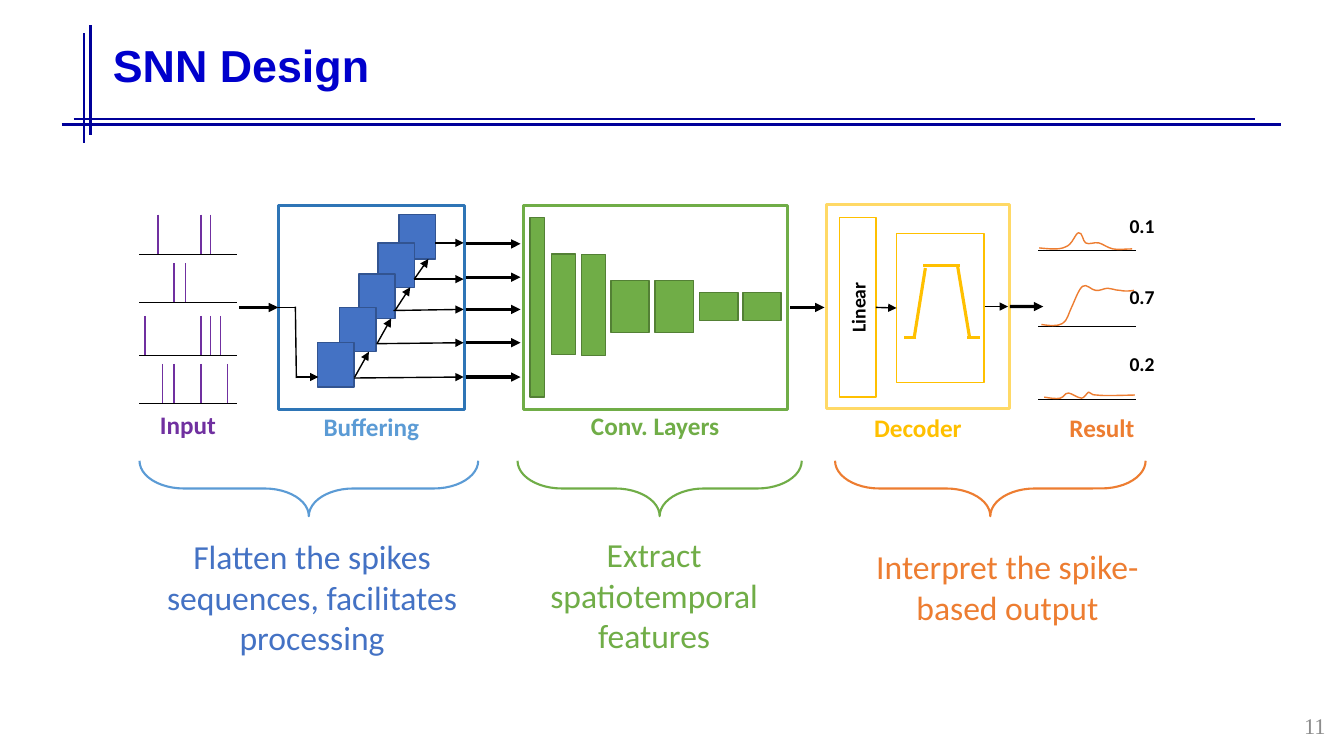
from dataclasses import dataclass
from typing import Optional

from lxml import etree
from pptx import Presentation
from pptx.dml.color import RGBColor
from pptx.enum.shapes import MSO_CONNECTOR, MSO_SHAPE
from pptx.enum.text import MSO_ANCHOR, PP_ALIGN
from pptx.oxml.ns import qn
from pptx.util import Pt

STRAIGHT = MSO_CONNECTOR.STRAIGHT
RECTANGLE, BRACE = MSO_SHAPE.RECTANGLE, MSO_SHAPE.LEFT_BRACE
LEFT, CENTER, RIGHT = PP_ALIGN.LEFT, PP_ALIGN.CENTER, PP_ALIGN.RIGHT
TOP, MIDDLE = MSO_ANCHOR.TOP, MSO_ANCHOR.MIDDLE
LEFT_SIDE, RIGHT_SIDE = 1, 3

BLACK, WHITE = RGBColor(0, 0, 0), RGBColor(255, 255, 255)
NAVY, TITLE_BLUE = RGBColor(0, 0, 0x99), RGBColor(0, 0, 0xCC)
BLUE, BLUE_EDGE = RGBColor(0x44, 0x72, 0xC4), RGBColor(0x32, 0x54, 0x91)
FRAME_BLUE, SKY = RGBColor(0x2E, 0x75, 0xB6), RGBColor(0x5B, 0x9B, 0xD5)
GREEN, GREEN_EDGE = RGBColor(0x70, 0xAD, 0x47), RGBColor(0x53, 0x80, 0x35)
GOLD, PALE_GOLD = RGBColor(0xFF, 0xC0, 0), RGBColor(0xFF, 0xD9, 0x66)
ORANGE, PURPLE = RGBColor(0xED, 0x7D, 0x31), RGBColor(0x70, 0x30, 0xA0)
GRAY = RGBColor(0x8C, 0x8C, 0x8C)


@dataclass
class Label:
    text: str
    left: float
    top: float
    width: float
    height: float
    size: float
    color: RGBColor
    bold: bool = False
    align: PP_ALIGN = CENTER
    anchor: MSO_ANCHOR = TOP
    font: str = "Calibri"


@dataclass
class Result:
    value: str
    value_top: float
    baseline: float
    curve: list  # start point, then three Bézier points per segment


@dataclass
class Stage:
    caption: Label
    brace_left: float
    brace_width: float
    color: RGBColor


deck = Presentation()
deck.slide_width, deck.slide_height = Pt(960), Pt(540)
page = deck.slides.add_slide(deck.slide_layouts[5])
shapes = page.shapes


def draw_line(x1: float, y1: float, x2: float, y2: float, color: RGBColor = BLACK,
              width: float = 1, arrow: bool = False):
    line = shapes.add_connector(STRAIGHT, Pt(x1), Pt(y1), Pt(x2), Pt(y2))
    line.line.color.rgb = color
    line.line.width = Pt(width)
    if arrow:
        etree.SubElement(line.line._get_or_add_ln(), qn("a:tailEnd"), type="triangle")
    etree.SubElement(line._element.spPr, qn("a:effectLst"))
    return line


def draw_box(left: float, top: float, width: float, height: float, edge: RGBColor,
             edge_width: float = 1, fill: Optional[RGBColor] = None, kind: MSO_SHAPE = RECTANGLE):
    box = shapes.add_shape(kind, Pt(left), Pt(top), Pt(width), Pt(height))
    box.shadow.inherit = False
    box.line.color.rgb = edge
    box.line.width = Pt(edge_width)
    if fill is None:
        box.fill.background()
    else:
        box.fill.solid()
        box.fill.fore_color.rgb = fill
    return box


def write(box, label: Label) -> None:
    frame = box.text_frame
    frame.text = label.text
    frame.word_wrap = True
    frame.vertical_anchor = label.anchor
    para = frame.paragraphs[0]
    para.alignment = label.align
    font = para.runs[0].font
    font.name, font.size, font.bold = label.font, Pt(label.size), label.bold
    font.color.rgb = label.color


def draw_label(label: Label) -> None:
    write(shapes.add_textbox(Pt(label.left), Pt(label.top), Pt(label.width), Pt(label.height)), label)


def draw_curve(points: list, color: RGBColor) -> None:
    places = [(Pt(x), Pt(y)) for x, y in points]
    builder = shapes.build_freeform(*places[0])
    builder.add_line_segments(places[3::3], close=False)
    curve = builder.convert_to_shape()
    # Turn each straight segment into a Bézier by adding its two control points
    for index, segment in enumerate(list(curve._element.iter(qn("a:lnTo")))):
        segment.tag = qn("a:cubicBezTo")
        for order, (x, y) in enumerate(places[3 * index + 1:3 * index + 3]):
            control = etree.Element(qn("a:pt"), x=str(x - curve.left), y=str(y - curve.top))
            segment.insert(order, control)
    curve.shadow.inherit = False
    curve.fill.background()
    curve.line.color.rgb = color
    curve.line.width = Pt(1)


# Title and crossed rules
for rule in ((52.6, 85, 896.4, 85), (44, 88.9, 915, 88.9),
             (60.1, 23.8, 60.1, 102.2), (64.8, 18, 64.8, 96.5)):
    draw_line(*rule, NAVY, 1.75)
title = shapes.title
title.left, title.top, title.width, title.height = Pt(73.4), Pt(3.6), Pt(805), Pt(90)
write(title, Label("SNN Design", 73.4, 3.6, 805, 90, 32, TITLE_BLUE, True, LEFT, MIDDLE, "Arial"))
title.text_frame.paragraphs[0].line_spacing = 0.9

# Input spike trains
SPIKE_HEIGHT = 28
for baseline, spikes in ((181.4, (113, 143.7, 150.5)), (216, (124.4, 132.4)),
                         (253.6, (103.5, 143.7, 150.5, 157.7)),
                         (288, (116, 124.4, 143.7, 162.5))):
    for x in spikes:
        draw_line(x, baseline - SPIKE_HEIGHT, x, baseline, PURPLE)
    draw_line(99.4, baseline, 169.2, baseline, width=0.5)

# Buffering
for left, top in ((285, 153.4), (270, 173.5), (256.3, 195.8), (242.6, 219.6), (226.8, 244.8)):
    draw_box(left, top, 26, 31.7, BLUE_EDGE, fill=BLUE)
buffering = draw_box(198.7, 146.9, 133.2, 145.4, FRAME_BLUE, 2.25)
draw_line(170.6, 219.6, 198.7, 219.6, width=2.25, arrow=True).end_connect(buffering, LEFT_SIDE)
draw_line(198.7, 219.6, 211.7, 219.6).begin_connect(buffering, LEFT_SIDE)
draw_line(211, 219, 211.7, 270)
draw_line(211.7, 269.3, 227.5, 269.3, arrow=True)
for carry in ((253.4, 269.3, 263.5, 251.3), (269.3, 245.5, 279.4, 227.5),
              (282.2, 221.8, 293, 205.2), (295.9, 199.4, 306, 185)):
    draw_line(*carry, arrow=True)
for x, y, thin_end, bus in ((311, 173.5, 173.5, 174.2), (295.9, 199.4, 199.4, 198),
                            (281, 221.8, 221, 221), (269, 245.5, 244.8, 244.8),
                            (253, 270, 269.3, 269.3)):
    draw_line(x, y, 331.2, thin_end, arrow=True)
    draw_line(332.6, bus, 371.8, bus, width=2.25, arrow=True)

# Convolution layers
draw_box(373.7, 146.9, 188.6, 145.4, GREEN, 2.25)
for left, top, width, height in ((378.7, 155.5, 10.1, 128.2), (393.8, 181.4, 17.3, 72),
                                 (415.4, 182, 17.3, 72), (436.3, 200.2, 27.4, 37.4),
                                 (468, 200.2, 27.4, 37.4), (499.7, 208.8, 27.4, 20.2),
                                 (530.6, 208.8, 27.4, 20.2)):
    draw_box(left, top, width, height, GREEN_EDGE, fill=GREEN)

# Decoder
decoder = draw_box(590.4, 146.2, 131, 145.4, PALE_GOLD, 2.25)
linear = draw_box(599.8, 155.5, 25.9, 128.2, GOLD, fill=WHITE)
write(linear, Label("Linear", 599.8, 155.5, 25.9, 128.2, 14, BLACK, True, CENTER, MIDDLE))
linear.text_frame._txBody.bodyPr.set("vert", "vert270")
activation = draw_box(640.4, 166.7, 62.6, 106.6, GOLD)
for stroke in ((659.5, 189.4, 685.4, 189.4), (653, 241.2, 661, 191.5), (692.6, 241.2, 684, 190),
               (654.5, 241.2, 645.8, 241.2), (699.8, 241.2, 690.5, 241.2)):
    draw_line(*stroke, GOLD, 2.25)
draw_line(564.5, 219.6, 589, 219.6, width=2.25, arrow=True)
draw_line(721.4, 219, 745.2, 219, width=2.25, arrow=True).begin_connect(decoder, RIGHT_SIDE)
inner = draw_line(625.7, 219.6, 640.4, 219.6, arrow=True)
inner.begin_connect(linear, RIGHT_SIDE)
inner.end_connect(activation, LEFT_SIDE)
draw_line(703.4, 219, 720, 219, arrow=True)

# Results
RESULTS = (
    Result("0.1", 149, 179, [
        (742.3, 177.1), (749.5, 177.8), (756.7, 178.6), (761, 176.4), (766.1, 175), (768.2, 166.3),
        (770.4, 166.3), (773.3, 165.6), (773.3, 172.1), (775.4, 173.5), (778.3, 175),
        (781.2, 172.8), (784.8, 173.5), (787.7, 174.2), (791.3, 177.1), (794.9, 177.8),
        (799.2, 178.6), (803.5, 177.8), (808.6, 177.8)]),
    Result("0.7", 200.2, 233.3, [
        (743.8, 231.8), (749.5, 232.6), (755.3, 233.3), (758.9, 231.1), (762.5, 229),
        (763.2, 223.9), (765.4, 219.6), (767.5, 215.3), (770.4, 206.6), (773.3, 204.5),
        (776.2, 202.3), (779.8, 207.4), (782.6, 207.4), (785.5, 208.1), (788.4, 205.9),
        (791.3, 205.9), (794.2, 205.9), (796.3, 207.4), (799.9, 207.4), (802.8, 208.1),
        (806.4, 208.1), (810, 207.4)]),
    Result("0.2", 247.7, 285.1, [
        (745.9, 283.7), (750.2, 284.4), (754.6, 285.1), (757.4, 284.4), (760.3, 283.7),
        (760.3, 280.8), (763.2, 280.8), (765.4, 280.8), (769.7, 284.4), (772.6, 284.4),
        (774.7, 284.4), (776.2, 280.8), (777.6, 280.1), (779.8, 280.1), (778.3, 282.2),
        (783.4, 282.2), (788.4, 283), (807.8, 282.2), (810.7, 282.2)]),
)
for result in RESULTS:
    draw_line(741.6, result.baseline, 811.4, result.baseline, width=0.5)
    draw_curve(result.curve, ORANGE)
    draw_label(Label(result.value, 799.7, result.value_top, 54, 42, 14, BLACK, True, LEFT))

# Block names
for name, left, top, width, color in (
        ("Input", 91.4, 288.7, 85.7, PURPLE), ("Buffering", 185, 290.2, 160.6, SKY),
        ("Conv. Layers", 341.6, 289.8, 252.7, GREEN), ("Decoder", 574.6, 290.9, 162, GOLD),
        ("Result", 738.2, 290.9, 97.9, ORANGE)):
    draw_label(Label(name, left, top, width, 50.4, 18, color, True))

# Stage captions under downward braces
BRACE_TOP, BRACE_DEPTH = 329.1, 39.6
STAGES = (
    Stage(Label("Flatten the spikes sequences, facilitates processing",
                103.4, 379.4, 239, 94.3, 24, BLUE), 99.7, 241.9, SKY),
    Stage(Label("Extract spatiotemporal features", 362.9, 378, 208.8, 94.3, 24, GREEN),
          369.7, 203, GREEN),
    Stage(Label("Interpret the spike-based output", 591.8, 386.6, 255.6, 65.5, 24, ORANGE),
          596.5, 221.8, ORANGE),
)
for stage in STAGES:
    draw_label(stage.caption)
    inset = (stage.brace_width - BRACE_DEPTH) / 2
    brace = draw_box(stage.brace_left + inset, BRACE_TOP - inset, BRACE_DEPTH, stage.brace_width,
                     stage.color, 1.5, kind=BRACE)
    brace.rotation = 270
    brace.adjustments[0], brace.adjustments[1] = 0.8, 0.5

# Page number
draw_label(Label("11", 910.8, 505.4, 43.2, 25.9, 16, GRAY, False, RIGHT, MIDDLE, "Times New Roman"))

deck.save("out.pptx")
